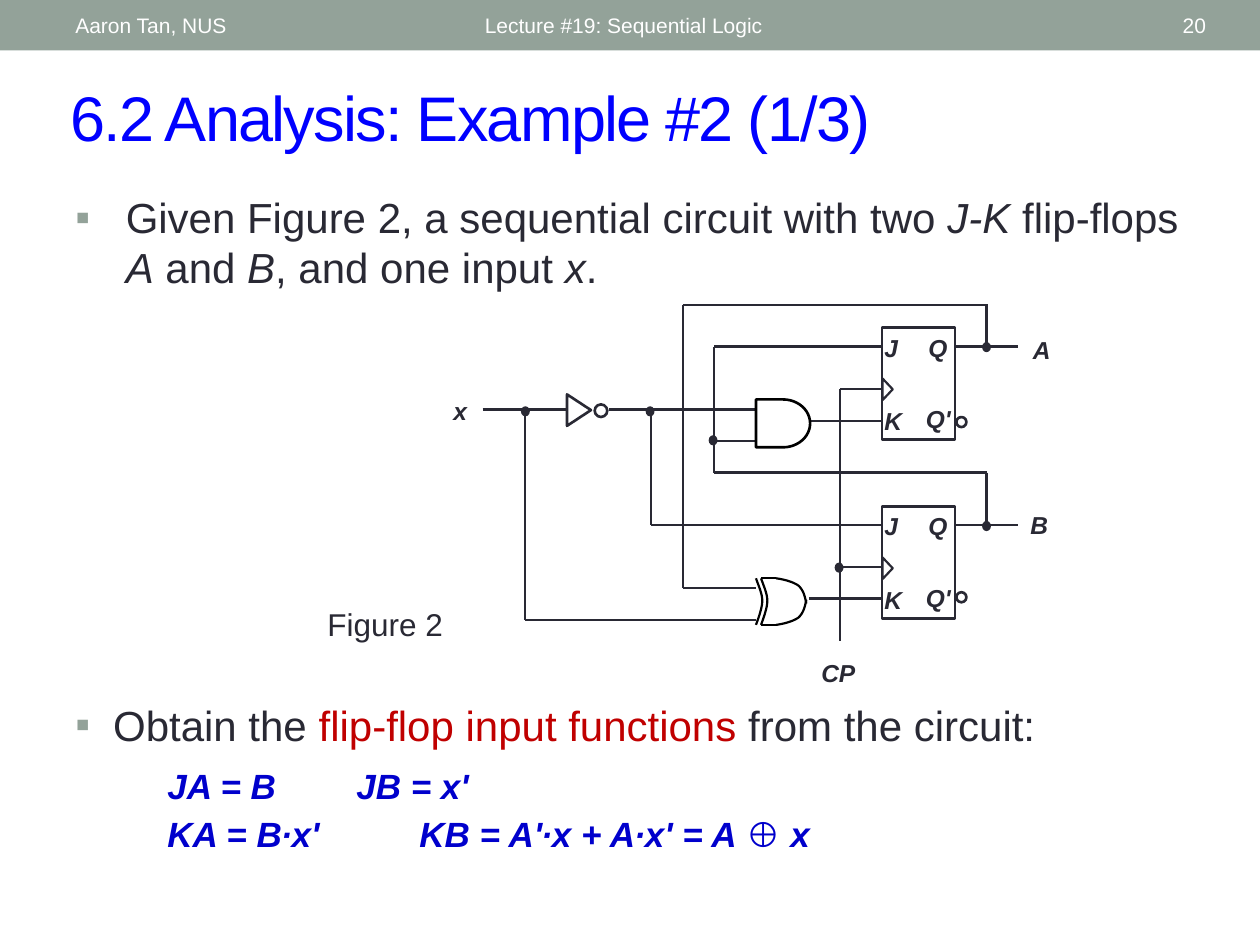
from dataclasses import dataclass
from typing import Optional

from lxml import etree
from pptx import Presentation
from pptx import util as u
from pptx.dml import color as col
from pptx.enum import shapes as sh
from pptx.enum import text as tx
from pptx.oxml import ns

HUES = {"ink": "292934", "sage": "93A299", "white": "FFFFFF", "black": "000000",
        "title": "0000FF", "math": "0000CC", "red": "C00000"}
KIND = sh.MSO_SHAPE


@dataclass
class Run:
    """A stretch of text and what sets it apart from its paragraph."""
    text: str
    hue: Optional[str] = None
    slant: Optional[bool] = None
    size: Optional[float] = None
    bold: Optional[bool] = None


@dataclass
class Para:
    """A paragraph; lengths in inches, space before in percent."""
    runs: list
    size: float
    hue: str = "ink"
    bold: bool = False
    slant: bool = False
    left: float = 0
    hang: float = 0
    gap: int = 0
    level: int = 0
    mark: str = ""
    track: int = 0
    align: tx.PP_ALIGN = tx.PP_ALIGN.LEFT


def inch(val: float) -> int:
    """Turn inches into a length."""
    return u.Cm(val * 2.54)


def rgb(hue: str) -> col.RGBColor:
    """Look up a colour."""
    return col.RGBColor.from_string(HUES[hue])


def add(node, tag: str, **attrs):
    """Append a drawing element."""
    return etree.SubElement(node, ns.qn("a:" + tag), attrs)


def style(font, size=None, hue=None, bold=None, slant=None) -> None:
    """Set the font traits that are given."""
    if size:
        font.size = u.Pt(size)
    if hue:
        font.color.rgb = rgb(hue)
    if bold is not None:
        font.bold = bold
    if slant is not None:
        font.italic = slant


def fill_para(par, item: Para) -> None:
    """Write one paragraph with its spacing, bullet and font."""
    par.alignment, par.level = item.align, item.level
    prop = par._p.get_or_add_pPr()
    prop.set("marL", str(inch(item.left)))
    prop.set("indent", str(inch(-item.hang)))
    if item.gap:
        add(add(prop, "spcBef"), "spcPct", val=str(item.gap * 1000))
    if item.mark:
        add(add(prop, "buClr"), "srgbClr", val=HUES["sage"])
        add(prop, "buFont", typeface="Arial")
        add(prop, "buChar", char=item.mark)
    else:
        add(prop, "buNone")
    par.font.name = "Arial"
    style(par.font, item.size, item.hue, item.bold, item.slant)
    if item.track:
        prop.find(ns.qn("a:defRPr")).set("spc", str(item.track))
    for part in item.runs:
        run = par.add_run()
        run.text = part.text
        style(run.font, part.size, part.hue, part.bold, part.slant)
        if item.track:
            run.font._element.set("spc", str(item.track)) if hasattr(
                run.font, "_element") else run._r.get_or_add_rPr().set("spc", str(item.track))


def write(box: tuple, *items: Para, mid: bool = False, wrap: bool = True) -> None:
    """Place a text box."""
    frame = slide.shapes.add_textbox(*map(inch, box)).text_frame
    frame.word_wrap = wrap
    frame.vertical_anchor = tx.MSO_ANCHOR.MIDDLE if mid else tx.MSO_ANCHOR.TOP
    for num, item in enumerate(items):
        fill_para(frame.add_paragraph() if num else frame.paragraphs[0], item)


def label(text: str, left: float, top: float, wide: float) -> None:
    """Name a signal or a pin."""
    write((left, top, wide, 0.33), Para([Run(text)], 14, bold=True, slant=True), wrap=False)


def paint(form, fill: Optional[str], line: Optional[str], width: float) -> None:
    """Set fill and outline, and drop the shadow."""
    form.shadow.inherit = False
    if fill:
        form.fill.solid()
        form.fill.fore_color.rgb = rgb(fill)
    else:
        form.fill.background()
    if line:
        form.line.color.rgb = rgb(line)
        form.line.width = u.Pt(width)
    else:
        form.line.fill.background()


def shape(kind, box: tuple, fill=None, line: Optional[str] = "ink",
          width: float = 1.5, turn: float = 0) -> None:
    """Place a preset shape."""
    form = slide.shapes.add_shape(kind, *map(inch, box))
    form.rotation = turn
    paint(form, fill, line, width)


def wire(x1: float, y1: float, x2: float, y2: float, hue: str = "ink") -> None:
    """Draw a straight line."""
    link = slide.shapes.add_connector(sh.MSO_CONNECTOR.STRAIGHT,
                                      *map(inch, (x1, y1, x2, y2)))
    link.line.color.rgb = rgb(hue)
    link.line.width = u.Pt(1.25)
    add(link._element.spPr, "effectLst")


def curve(*knots: tuple, steps: int = 12) -> None:
    """Draw an open chain of cubic curves."""
    dots = [knots[0]]
    for pos in range(0, len(knots) - 1, 3):
        quad = knots[pos:pos + 4]
        for num in range(1, steps + 1):
            t = num / steps
            mix = ((1 - t) ** 3, 3 * t * (1 - t) ** 2, 3 * t * t * (1 - t), t ** 3)
            dots.append(tuple(sum(m * k[ax] for m, k in zip(mix, quad)) for ax in (0, 1)))
    dots = [(inch(x), inch(y)) for x, y in dots]
    pen = slide.shapes.build_freeform(*dots[0])
    pen.add_line_segments(dots[1:], close=False)
    paint(pen.convert_to_shape(), None, "black", 1.25)


def flip(top: float, ring: float) -> None:
    """Draw a J-K flip-flop."""
    shape(KIND.RECTANGLE, (7, top, 0.58, 0.89))
    shape(KIND.ISOSCELES_TRIANGLE, (6.96, top + 0.45, 0.17, 0.08), width=1.25, turn=90)
    for text, left, drop, wide in (("J", 6.92, -0.01, 0.31), ("Q", 7.27, -0.01, 0.35),
                                   ("K", 6.92, 0.57, 0.34), ("Q'", 7.25, 0.56, 0.42)):
        label(text, left, top + drop, wide)
    shape(KIND.OVAL, (7.59, ring, 0.08, 0.08), "white")


deck = Presentation()
deck.slide_width, deck.slide_height = inch(10), inch(7.5)
slide = deck.slides.add_slide(deck.slide_layouts[6])

shape(KIND.RECTANGLE, (0, 0, 10, 0.4), "sage", None)
for text, left, wide, align in (("Aaron Tan, NUS", 0.5, 3.17, tx.PP_ALIGN.LEFT),
                                ("Lecture #19: Sequential Logic", 3.75, 4.5, tx.PP_ALIGN.LEFT),
                                ("20", 8.72, 0.95, tx.PP_ALIGN.RIGHT)):
    write((left, 0.02, wide, 0.36), Para([Run(text)], 12, "white", align=align), mid=True)
write((0.46, 0.57, 9.21, 0.7),
      Para([Run("6.2 Analysis: Example #2 (1/3)")], 36, "title", track=-100), mid=True)

given = ("Given Figure 2, a sequential circuit with two ", "J-K", " flip-flops ", "A",
         " and ", "B", ", and one input ", "x", ".")
write((0.5, 1.47, 9, 0.95),
      Para([Run(t, slant=n % 2 == 1) for n, t in enumerate(given)], 24,
           left=0.4, hang=0.4, gap=40, mark="▪"))
rule = dict(size=20, hue="math", bold=True, slant=True, left=0.73, hang=0.36, gap=10, level=1)
write((0.5, 5.5, 9, 1.33),
      Para([Run("Obtain the "), Run("flip-flop input functions ", "red"),
            Run("from the circuit:")], 24, left=0.3, hang=0.3, gap=40, mark="▪"),
      Para([Run("\t", size=26, bold=False), Run("JA = B\t\tJB = x'")], **rule),
      Para([Run("\tKA = B∙x'\t\tKB = A'∙x + A∙x' = A "), Run("⊕", slant=False),
            Run(" x")], **rule))
write((2.5, 4.75, 1.25, 0.4), Para([Run("Figure 2")], 18, gap=50))

for row in (
        (7.58, 2.75, 8.08, 2.75), (7.58, 4.17, 8.08, 4.17),
        (7.83, 2.42, 7.83, 2.75), (7.83, 3.75, 7.83, 4.17),
        (5.42, 2.42, 7.84, 2.42), (5.42, 2.42, 5.42, 4.67), (5.42, 4.67, 6, 4.67),
        (5.67, 2.75, 7, 2.75), (5.67, 2.75, 5.67, 3.75), (5.67, 3.75, 7.83, 3.75),
        (5.67, 3.5, 6, 3.5), (6.42, 3.34, 7, 3.34), (6.42, 4.75, 7, 4.75),
        (3.83, 3.25, 4.5, 3.25), (4.83, 3.25, 6, 3.25),
        (4.17, 3.25, 4.17, 4.92), (4.17, 4.92, 6, 4.92),
        (5.17, 3.25, 5.17, 4.17), (5.17, 4.17, 7, 4.17),
        (6.67, 3.09, 6.67, 5.09), (6.67, 3.09, 7, 3.09), (6.67, 4.5, 7, 4.5)):
    wire(*row)
for left, top in ((7.8, 2.72), (7.8, 4.14), (4.14, 3.23), (5.13, 3.23),
                  (5.63, 3.46), (6.63, 4.47)):
    shape(KIND.OVAL, (left, top, 0.06, 0.07), "ink", width=0.75)

shape(KIND.FLOWCHART_DELAY, (6, 3.17, 0.43, 0.38), line="black")
shape(KIND.FLOWCHART_EXTRACT, (4.47, 3.16, 0.25, 0.19), turn=90)
shape(KIND.OVAL, (4.72, 3.21, 0.1, 0.1))

for x in (6, 6.04):
    curve((x, 4.59), (x + 0.02, 4.65), (x + 0.05, 4.71), (x + 0.05, 4.77),
          (x + 0.05, 4.83), (x + 0.01, 4.93), (x, 4.96))
for y, way in ((4.59, 1), (4.96, -1)):
    wire(6.04, y, 6.16, y, "black")
    curve((6.16, y), (6.23, y + 0.01 * way), (6.3, y + 0.03 * way), (6.34, y + 0.06 * way),
          (6.38, y + 0.1 * way), (6.39, y + 0.15 * way), (6.4, y + 0.2 * way))

flip(2.6, 3.31)
flip(4.02, 4.7)
for text, left, top, wide in (("A", 8.1, 2.61, 0.34), ("B", 8.08, 4, 0.34),
                              ("x", 3.5, 3.09, 0.31), ("CP", 6.42, 5.17, 0.47)):
    label(text, left, top, wide)

deck.save("out.pptx")
